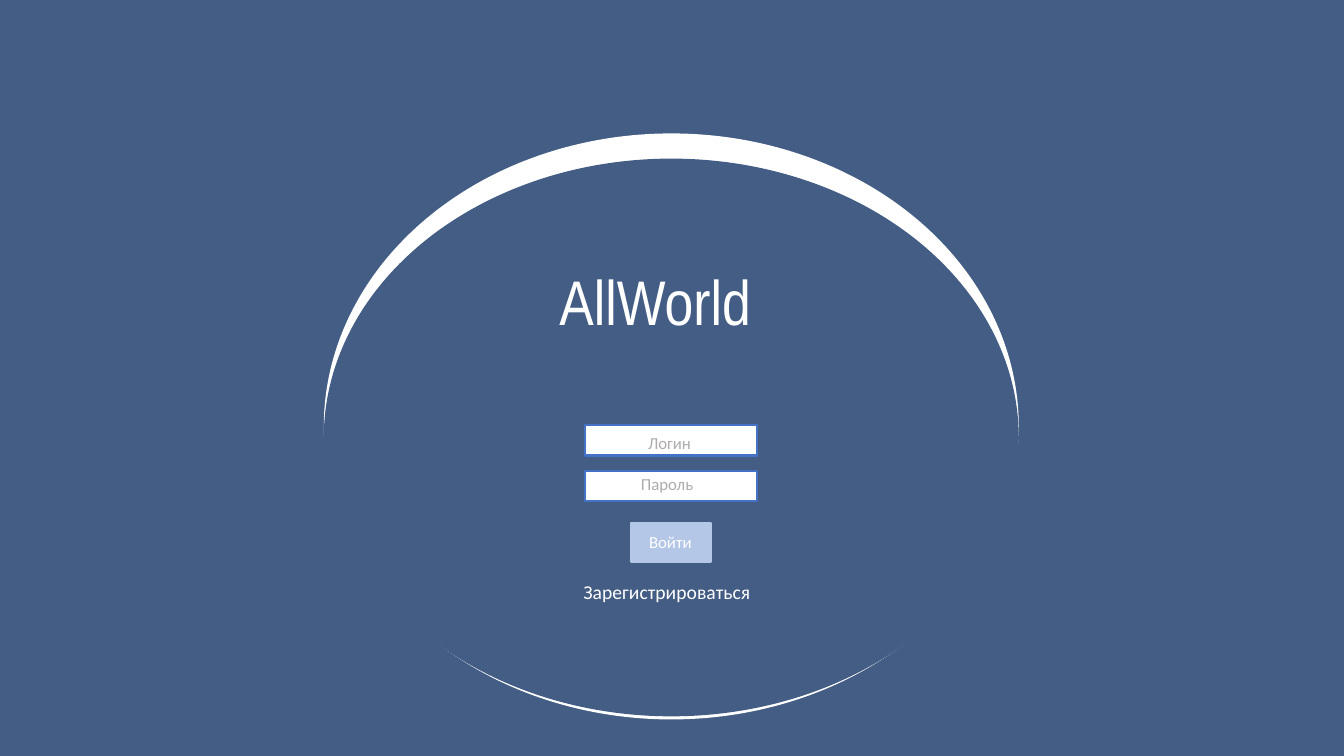
from pptx import Presentation
from pptx.dml.color import RGBColor
from pptx.enum.shapes import MSO_SHAPE
from pptx.enum.text import MSO_ANCHOR, MSO_AUTO_SIZE, PP_ALIGN
from pptx.util import Pt

OVAL, RECTANGLE = MSO_SHAPE.OVAL, MSO_SHAPE.RECTANGLE
TOP, LEFT, NO_AUTOFIT = MSO_ANCHOR.TOP, PP_ALIGN.LEFT, MSO_AUTO_SIZE.NONE

SLATE = RGBColor(0x44, 0x5D, 0x85)
WHITE = RGBColor(0xFF, 0xFF, 0xFF)
BLUE = RGBColor(0x44, 0x72, 0xC4)
PALE_BLUE = RGBColor(0xB4, 0xC7, 0xE7)
GREY = RGBColor(0xAF, 0xAB, 0xAB)

TITLE_ONLY = 5
FIELD_HEIGHT = 21.6
FIELD_STEP = 32.4


def write(holder, text, size=12, color=WHITE, font="Calibri"):
    frame = holder.text_frame
    frame.auto_size = NO_AUTOFIT
    frame.word_wrap = True
    frame.vertical_anchor = TOP
    frame.margin_left = frame.margin_right = Pt(7.2)
    frame.margin_top = frame.margin_bottom = Pt(3.6)
    paragraph = frame.paragraphs[0]
    paragraph.alignment = LEFT
    paragraph.line_spacing = 1.0
    run = paragraph.add_run()
    run.text = text
    run.font.size = Pt(size)
    run.font.name = font
    run.font.color.rgb = color


def add_panel(shapes, kind, box, fill, line, line_width):
    panel = shapes.add_shape(kind, *map(Pt, box))
    panel.shadow.inherit = False
    panel.fill.solid()
    panel.fill.fore_color.rgb = fill
    panel.line.color.rgb = line
    panel.line.width = Pt(line_width)
    return panel


def add_label(shapes, box, text, **style):
    write(shapes.add_textbox(*map(Pt, box)), text, **style)


def add_ring(slide, left, top, width, height):
    add_panel(slide.shapes, OVAL, (left, top, width, height), WHITE, WHITE, 1)
    add_panel(slide.shapes, OVAL, (left, top + 18, width, height - 20.2), SLATE, SLATE, 1)


def add_title(slide, left, top, width, height):
    title = slide.shapes.title
    title.left, title.top, title.width, title.height = map(Pt, (left, top, width, height))
    write(title, "AllWorld", size=45, font="Arial Narrow")
    slide.shapes._spTree.append(title._element)


def add_fields(slide, left, top, width):
    prompts = [("Логин", 38.2, 1.5, 46.8), ("Пароль", 33.1, -1.4, 56.2)]
    for row, (prompt, indent, drop, prompt_width) in enumerate(prompts):
        field_top = top + row * FIELD_STEP
        add_panel(slide.shapes, RECTANGLE, (left, field_top, width, FIELD_HEIGHT), WHITE, BLUE, 1.5)
        add_label(slide.shapes, (left + indent, field_top + drop, prompt_width, FIELD_HEIGHT),
                  prompt, color=GREY)


def add_button(slide, left, top, width, height):
    button = slide.shapes.add_group_shape()
    add_panel(button.shapes, RECTANGLE, (left, top, width, height), PALE_BLUE, PALE_BLUE, 1.5)
    caption_box = (left + 5.8, top + 2.9, width - 5.8, FIELD_HEIGHT)
    caption = add_panel(button.shapes, RECTANGLE, caption_box, PALE_BLUE, PALE_BLUE, 0.75)
    write(caption, "Войти")


def build_login_slide(deck):
    slide = deck.slides.add_slide(deck.slide_layouts[TITLE_ONLY])
    slide.background.fill.solid()
    slide.background.fill.fore_color.rgb = SLATE
    add_ring(slide, 231.8, 95.8, 495.4, 417.6)
    add_title(slide, 392.4, 183.6, 182.2, 61.9)
    add_fields(slide, 417.6, 303.8, 123.1)
    add_button(slide, 450.7, 373.7, 56.9, 27.4)
    add_label(slide.shapes, (409.7, 410.4, 139, 24.5), "Зарегистрироваться", size=14)


def main():
    deck = Presentation()
    deck.slide_width, deck.slide_height = Pt(960), Pt(540)
    build_login_slide(deck)
    deck.save("out.pptx")


if __name__ == "__main__":
    main()
